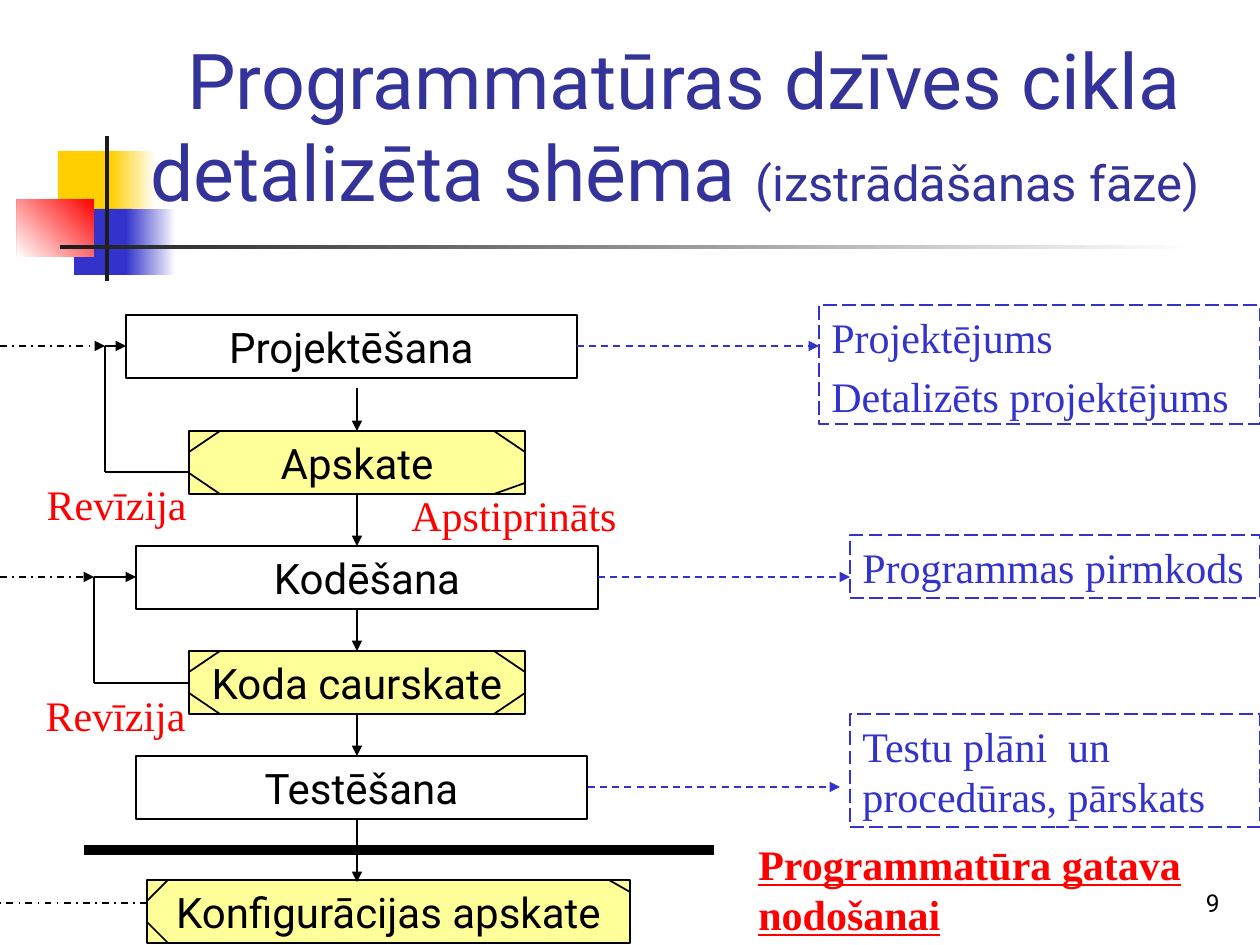
from lxml import etree
from pptx import Presentation
from pptx import util as u
from pptx.dml.color import RGBColor
from pptx.enum import dml, shapes, text
from pptx.oxml.ns import qn

C = {"black": "000000", "ink": "1C1C1C", "white": "FFFFFF", "gold": "FFCF01",
     "blue": "3333CC", "red": "FF0000", "title": "333399", "review": "FFFF99"}
SANS, SERIF = "Roboto", "Times New Roman"
LEFT, CENTER, RIGHT = text.PP_ALIGN.LEFT, text.PP_ALIGN.CENTER, text.PP_ALIGN.RIGHT
DASH = dml.MSO_LINE
SPINE = 357


def px(n):
    """Turn slide pixels into EMU."""
    return u.Emu(round(n * 914400 / 126))


def rgb(name):
    """Look up a named colour."""
    return RGBColor.from_string(C[name])


def rect(s, box, fill=None, line=None, weight=1.5, dash=None):
    """Add a rectangle with an optional fill and outline."""
    sp = s.shapes.add_shape(shapes.MSO_SHAPE.RECTANGLE, *map(px, box))
    sp.shadow.inherit = False
    if isinstance(fill, tuple):
        *stops, angle = fill
        sp.fill.gradient()
        sp.fill.gradient_angle = angle
        for stop, position, name in zip(sp.fill.gradient_stops, (0, 1), stops):
            stop.position = position
            stop.color.rgb = rgb(name)
    elif fill:
        sp.fill.solid()
        sp.fill.fore_color.rgb = rgb(fill)
    else:
        sp.fill.background()
    if line:
        sp.line.color.rgb = rgb(line)
        sp.line.width = u.Pt(weight)
        if dash:
            sp.line.dash_style = dash
    else:
        sp.line.fill.background()
    return sp


def line(s, x0, y0, x1, y1, color="black", weight=1, dash=None, arrow=False):
    """Add a straight line, with an arrowhead at its end on request."""
    c = s.shapes.add_connector(shapes.MSO_CONNECTOR.STRAIGHT, *map(px, (x0, y0, x1, y1)))
    c.line.color.rgb = rgb(color)
    c.line.width = u.Pt(weight)
    if dash:
        c.line.dash_style = dash
    if arrow:
        etree.SubElement(c.line._get_or_add_ln(), qn("a:tailEnd"), type="triangle")
    etree.SubElement(c._element.spPr, qn("a:effectLst"))


def frame(sp, anchor=text.MSO_ANCHOR.TOP):
    """Prepare the text frame of a shape."""
    tf = sp.text_frame
    tf.word_wrap = True
    tf.vertical_anchor = anchor
    return tf


def run(p, words, size, font, color, strong=False):
    """Add one formatted run to a paragraph."""
    r = p.add_run()
    r.text = words
    r.font.size, r.font.name = u.Pt(size), font
    r.font.color.rgb = rgb(color)
    if strong:
        r.font.bold = r.font.underline = True


def label(s, box, words, align=LEFT, size=24, font=SERIF, color="red", strong=False,
          anchor=text.MSO_ANCHOR.TOP):
    """Add a text box with a single paragraph."""
    p = frame(s.shapes.add_textbox(*map(px, box)), anchor).paragraphs[0]
    p.alignment = align
    run(p, words, size, font, color, strong)


def ornament(s, x, y):
    """Draw the coloured squares and bars beside the title."""
    for dx, dy, w, h, fill in (
            (41, 15, 60, 66, "gold"),
            (94, 15, 45, 66, ("white", "gold", 180)),
            (57, 73, 58, 66, "blue"),
            (109, 73, 50, 66, ("white", "blue", 180)),
            (0, 63, 77, 58, ("red", "white", 225)),
            (88, 0, 4, 145, "ink"),
            (43, 109, 1134, 4, ("white", "ink", 180))):
        rect(s, (x + dx, y + dy, w, h), fill)


def title(s, box):
    """Write the two-line title."""
    p = frame(s.shapes.add_textbox(*map(px, box)), text.MSO_ANCHOR.BOTTOM).paragraphs[0]
    p.alignment = CENTER
    run(p, "Programmatūras dzīves cikla", 44, SANS, "title")
    p.add_line_break()
    run(p, "detalizēta shēma ", 44, SANS, "title")
    run(p, "(izstrādāšanas fāze)", 28, SANS, "title")
    run(p, " ", 44, SANS, "title")


def step(s, box, words, fill=None, corners=()):
    """Draw a process step; each corner is (right, bottom, width, height)."""
    p = frame(rect(s, box, fill, "black")).paragraphs[0]
    p.alignment = CENTER
    run(p, words, 24, SANS, "black")
    x, y, w, h = box
    for right, bottom, cw, ch in corners:
        edge, inner = (x + w, x + w - cw) if right else (x, x + cw)
        side, cut = (y + h, y + h - ch) if bottom else (y, y + ch)
        line(s, inner, side, edge, cut)


def artefact(s, box, paragraphs, start, end, y):
    """Draw a dashed result box and the arrow that leads to it."""
    tf = frame(rect(s, box, None, "blue", 1, DASH.LONG_DASH))
    for i, words in enumerate(paragraphs):
        p = tf.add_paragraph() if i else tf.paragraphs[0]
        p.alignment = LEFT
        if i:
            p.space_before, p.line_spacing = u.Pt(15), 0.6
        run(p, words, 24, SERIF, "blue")
    line(s, start, y, end, y, "blue", 1, DASH.DASH, True)


def revision(s, x, top, bottom, step_x, review_x):
    """Draw the loop back from a review and the entry arrow that joins it."""
    line(s, review_x, bottom, x, bottom)
    line(s, x, bottom, x, top)
    line(s, x, top, step_x, top, arrow=True)
    line(s, 0, top, x, top, dash=DASH.DASH_DOT, arrow=True)


def flow(s):
    """Draw the column of steps, reviews and connecting arrows."""
    step(s, (126, 315, 451, 63), "Projektēšana")
    step(s, (136, 546, 462, 63), "Kodēšana")
    step(s, (136, 756, 451, 63), "Testēšana")
    cuts = [(0, 0, 31, 21), (0, 1, 31, 21), (1, 0, 31, 21)]
    step(s, (189, 431, 336, 63), "Apskate", "review", cuts + [(1, 1, 31, 11)])
    step(s, (189, 651, 336, 63), "Koda caurskate", "review", cuts + [(1, 1, 31, 21)])
    step(s, (147, 880, 483, 63), "Konfigurācijas apskate", "review",
         [(0, 0, 21, 21), (0, 1, 21, 21), (1, 0, 21, 12)])
    for y0, y1 in ((388, 431), (494, 546), (609, 651), (714, 756), (819, 882)):
        line(s, SPINE, y0, SPINE, y1, arrow=True)
    revision(s, 105, 346, 472, 126, 189)
    revision(s, 94, 577, 683, 136, 189)
    line(s, 147, 903, 0, 903, dash=DASH.DASH_DOT)
    line(s, 84, 850, 714, 850, weight=6)


def results(s):
    """Draw the results of each step."""
    artefact(s, (819, 305, 441, 119), ["Projektējums", "Detalizēts projektējums"], 577, 819, 346)
    artefact(s, (850, 535, 410, 63), ["Programmas pirmkods"], 598, 850, 577)
    artefact(s, (850, 714, 410, 113), ["Testu plāni  un procedūras, pārskats"], 588, 840, 787)


def labels(s):
    """Write the outcome labels and the slide number."""
    label(s, (399, 483, 273, 63), "Apstiprināts")
    label(s, (0, 472, 199, 63), "Revīzija", RIGHT)
    label(s, (0, 683, 231, 63), "Revīzija", CENTER)
    label(s, (746, 832, 514, 113), "Programmatūra gatava nodošanai", strong=True)
    label(s, (970, 861, 262, 63), "9", RIGHT, 14, SANS, "black", anchor=text.MSO_ANCHOR.BOTTOM)


def main():
    """Build the slide and save it."""
    prs = Presentation()
    prs.slide_width, prs.slide_height = px(1260), px(945)
    s = prs.slides.add_slide(prs.slide_layouts[6])
    ornament(s, 17, 136)
    title(s, (134, 35, 1101, 188))
    flow(s)
    results(s)
    labels(s)
    prs.save("out.pptx")


if __name__ == "__main__":
    main()
